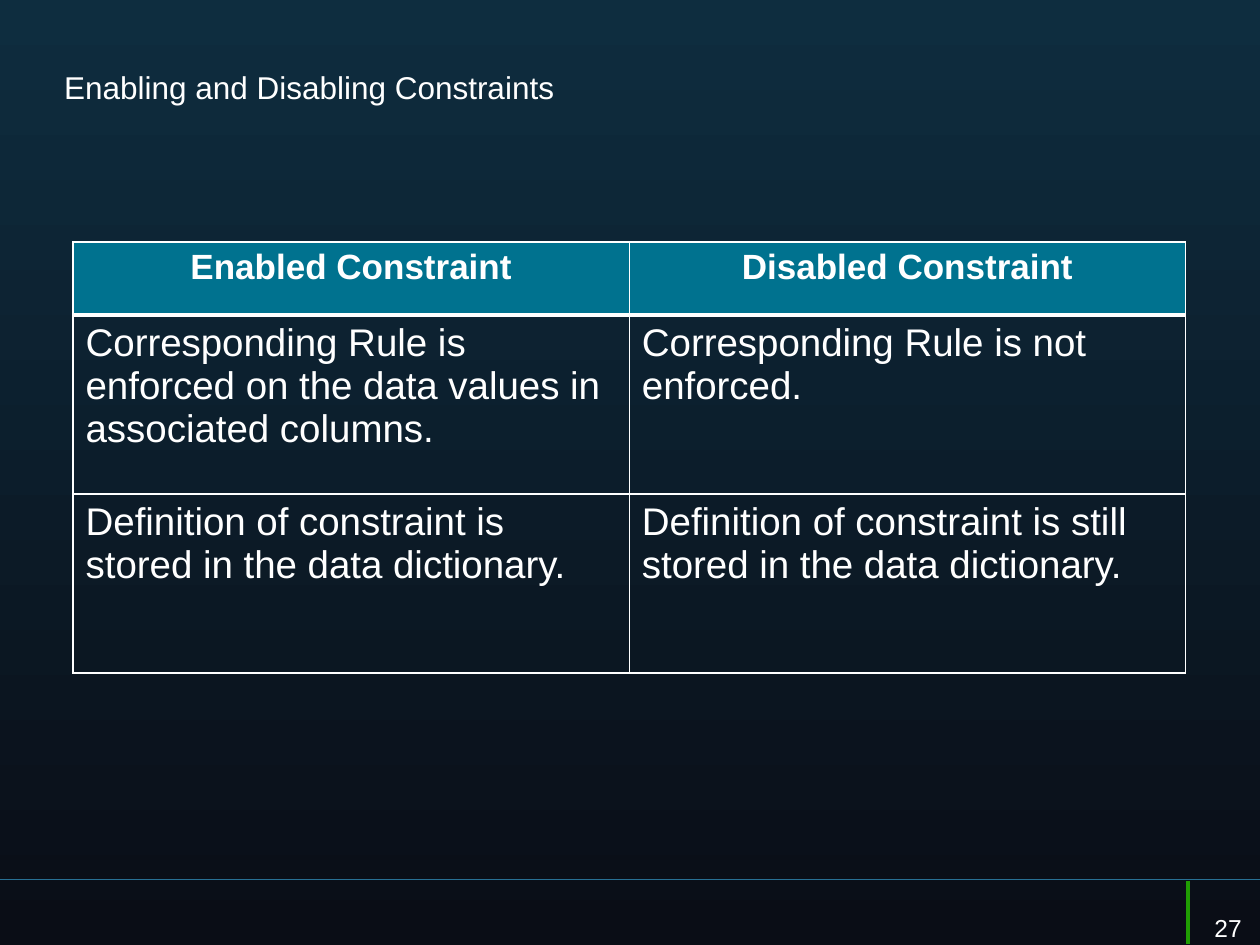
from lxml.etree import SubElement
from pptx import Presentation
from pptx.dml.color import RGBColor
from pptx.enum.shapes import MSO_CONNECTOR
from pptx.enum.text import MSO_ANCHOR, PP_ALIGN
from pptx.oxml.ns import qn
from pptx.util import Inches, Pt

WHITE = RGBColor(0xFF, 0xFF, 0xFF)
HEADER_TEAL = RGBColor(0x00, 0x72, 0x8F)
RULE_TEAL = RGBColor(0x28, 0x70, 0x94)
ACCENT_GREEN = RGBColor(0x20, 0x9D, 0x03)
GRADIENT_TOP = RGBColor(0x0E, 0x2D, 0x3F)
GRADIENT_BOTTOM = RGBColor(0x0A, 0x0D, 0x16)

TITLE_FORMAT = {"size": Pt(18)}
NUMBER_FORMAT = {"size": Pt(14)}
HEADER_FORMAT = {"size": Pt(20), "bold": True}
BODY_FORMAT = {"size": Pt(22), "bold": False}

ROWS = [
    ("Enabled Constraint", "Disabled Constraint"),
    ("Corresponding Rule is enforced on the data values in associated columns.",
     "Corresponding Rule is not enforced."),
    ("Definition of constraint is stored in the data dictionary.",
     "Definition of constraint is still stored in the data dictionary."),
]


class SlideBuilder:
    """Holds the shared style and the current slide."""

    font_name = "Arial"
    text_color = WHITE
    border_width = 1
    header_rule_width = 3

    def __init__(self, slide):
        self.slide = slide

    def background(self, top_color, bottom_color):
        fill = self.slide.background.fill
        fill.gradient()
        fill.gradient_angle = 270
        colors = (top_color, bottom_color)
        for position, (stop, color) in enumerate(zip(fill.gradient_stops, colors)):
            stop.color.rgb = color
            stop.position = position

    def line(self, start, end, color, width):
        points = [Inches(value) for value in (*start, *end)]
        connector = self.slide.shapes.add_connector(MSO_CONNECTOR.STRAIGHT, *points)
        connector.line.color.rgb = color
        connector.line.width = Pt(width)
        SubElement(connector._element.spPr, qn("a:effectLst"))

    def add_words(self, text_frame, text, text_format, alignment=PP_ALIGN.LEFT):
        paragraph = text_frame.paragraphs[0]
        paragraph.alignment = alignment
        run = paragraph.add_run()
        run.text = text
        for name, value in {"name": self.font_name, **text_format}.items():
            setattr(run.font, name, value)
        run.font.color.rgb = self.text_color

    def text(self, box, text, text_format, anchor=MSO_ANCHOR.TOP):
        shape = self.slide.shapes.add_textbox(*[Inches(value) for value in box])
        shape.text_frame.word_wrap = True
        shape.text_frame.vertical_anchor = anchor
        self.add_words(shape.text_frame, text, text_format)

    def borders(self, cell, widths):
        properties = cell._tc.get_or_add_tcPr()
        for side, width in widths.items():
            border = SubElement(properties, qn(f"a:ln{side}"), w=str(Pt(width)))
            fill = SubElement(border, qn("a:solidFill"))
            SubElement(fill, qn("a:srgbClr"), val=str(self.text_color))

    def table(self, box, rows, row_heights):
        frame = self.slide.shapes.add_table(
            len(rows), len(rows[0]), *[Inches(value) for value in box])
        table = frame.table
        table.horz_banding = False
        for row, height in zip(table.rows, row_heights):
            row.height = Inches(height)
        for row_index, texts in enumerate(rows):
            is_header = row_index == 0
            widths = dict.fromkeys("LRTB", self.border_width)
            if row_index < 2:
                widths["B" if is_header else "T"] = self.header_rule_width
            for column_index, text in enumerate(texts):
                cell = table.cell(row_index, column_index)
                # Borders come before the fill in the cell properties
                self.borders(cell, widths)
                if is_header:
                    cell.fill.solid()
                    cell.fill.fore_color.rgb = HEADER_TEAL
                    self.add_words(cell.text_frame, text, HEADER_FORMAT, PP_ALIGN.CENTER)
                else:
                    cell.fill.background()
                    self.add_words(cell.text_frame, text, BODY_FORMAT)


def main():
    presentation = Presentation()
    presentation.slide_width = Inches(10)
    presentation.slide_height = Inches(7.5)
    builder = SlideBuilder(presentation.slides.add_slide(presentation.slide_layouts[6]))

    # Background and footer rules
    builder.background(GRADIENT_TOP, GRADIENT_BOTTOM)
    builder.line((0, 6.98), (10, 6.98), RULE_TEAL, 0.75)
    builder.line((9.43, 6.99), (9.43, 7.49), ACCENT_GREEN, 2)

    # Title and slide number
    builder.text((0.41, 0.36, 9.18, 0.66), "Enabling and Disabling Constraints",
                 TITLE_FORMAT, MSO_ANCHOR.MIDDLE)
    builder.text((9.54, 7.2, 0.5, 0.3), "27", NUMBER_FORMAT)

    # Comparison table
    builder.table((0.58, 1.92, 8.83, 3.42), ROWS, (0.58, 1.42, 1.42))

    presentation.save("out.pptx")


if __name__ == "__main__":
    main()
